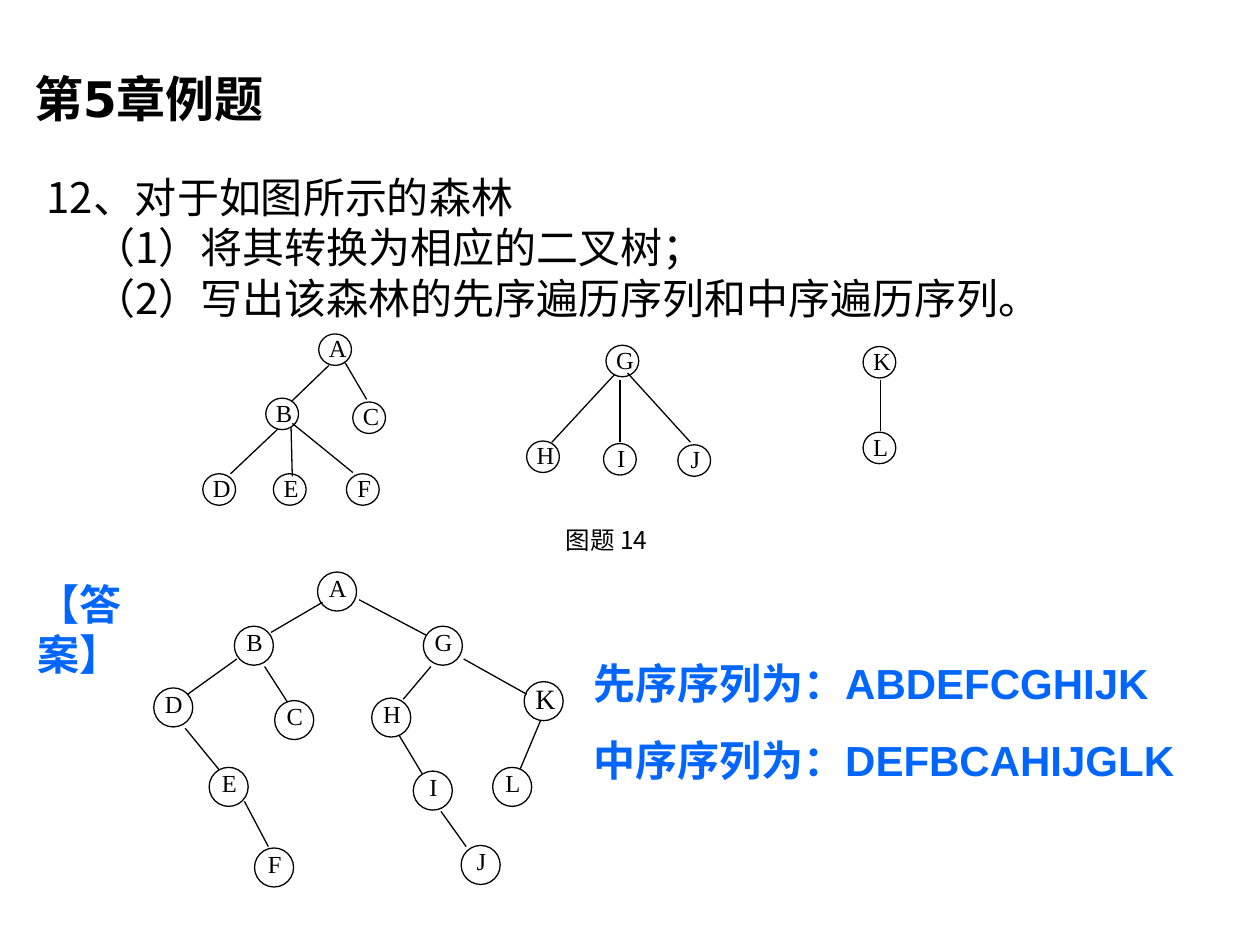
from dataclasses import dataclass
from typing import Any

from lxml import etree
from pptx import Presentation
from pptx.dml.color import RGBColor
from pptx.enum.shapes import MSO_CONNECTOR, MSO_SHAPE
from pptx.enum.text import MSO_ANCHOR, MSO_AUTO_SIZE, PP_ALIGN
from pptx.oxml.ns import qn
from pptx.util import Inches, Pt

OVAL, RECT = MSO_SHAPE.OVAL, MSO_SHAPE.RECTANGLE
STRAIGHT = MSO_CONNECTOR.STRAIGHT
LEFT, CENTER, JUSTIFY = PP_ALIGN.LEFT, PP_ALIGN.CENTER, PP_ALIGN.JUSTIFY
TOP, MIDDLE = MSO_ANCHOR.TOP, MSO_ANCHOR.MIDDLE
FIT, FIXED = MSO_AUTO_SIZE.SHAPE_TO_FIT_TEXT, MSO_AUTO_SIZE.NONE
WIDTH, HEIGHT, COLS, ROWS = 10, 7.5, 100, 75
COLORS = {"ink": "000000", "paper": "FFFFFF", "answer": "0066FF"}
CJK, SERIF, SANS, HEAD = "Noto Sans CJK SC", "Times New Roman", "Arial", "DejaVu Sans"

FOREST_NODES = [
    ("A", 25.3, 26.5), ("B", 21.1, 31.6), ("C", 28, 31.9), ("E", 21.7, 37.6),
    ("F", 27.5, 37.6), ("D", 16.1, 37.6), ("G", 48.1, 27.4), ("H", 41.8, 35),
    ("I", 47.9, 35.2), ("J", 53.8, 35.3), ("K", 68.5, 27.5), ("L", 68.5, 34.3),
]
FOREST_EDGES = [
    (26.1, 29, 23.2, 31.8), (27.4, 28.8, 29.1, 31.7), (22, 34.1, 18.3, 37.6),
    (23.1, 33.9, 23.2, 37.8), (23.2, 33.6, 28, 37.5), (48.8, 29.7, 43.8, 35.1),
    (49.2, 30.2, 49.2, 35.1), (49.8, 29.6, 54.8, 35.1), (69.9, 30.2, 69.9, 34.2),
]
BINARY_NODES = [
    ("A", 25.2, 45.4), ("B", 18.6, 49.7), ("C", 21.8, 55.6), ("E", 16.6, 60.9),
    ("F", 20.2, 67.3), ("D", 12.2, 54.6), ("G", 33.6, 49.7), ("H", 29.5, 55.4),
    ("I", 32.8, 61.2), ("J", 36.6, 67.1), ("K", 41.6, 54.1), ("L", 39.1, 60.9),
]
BINARY_EDGES = [
    (25.6, 47.8, 21.5, 50.2), (18.8, 52.3, 14.9, 55.1), (21, 52.9, 22.8, 55.7),
    (14.7, 57.8, 17.4, 61.1), (19.4, 63.6, 21.3, 67.2), (28.5, 47.6, 33.8, 50.4),
    (36.8, 52.3, 41.8, 55.1), (34.2, 52.9, 32, 55.5), (31.7, 58.4, 33.5, 61.4),
    (42.9, 57.2, 41.3, 61), (35, 64.4, 37, 67.2),
]


@dataclass
class Deck:
    """Holds the current slide and draws its elements on a 100 by 75 grid."""

    s: Any

    def grid(self, x, y, w, h):
        dx, dy = WIDTH / COLS, HEIGHT / ROWS
        return Inches(x * dx), Inches(y * dy), Inches(w * dx), Inches(h * dy)

    def fill_text(self, tf, lines, size, font, color="ink", bold=False,
                  align=LEFT, gap=0, indent=0, spacing=None):
        tf.word_wrap = True
        tf.text = "\n".join(lines)
        for i, p in enumerate(tf.paragraphs):
            p.alignment = align
            p.line_spacing = spacing
            p.space_before = Pt(gap if i else 0)
            if i and indent:
                p._p.get_or_add_pPr().set("marL", str(Inches(indent)))
            for r in p.runs:
                r.font.size, r.font.bold, r.font.name = Pt(size), bold, font
                r.font.color.rgb = RGBColor.from_string(COLORS[color])
                ea = etree.SubElement(r._r.get_or_add_rPr(), qn("a:ea"))
                ea.set("typeface", CJK)

    def title(self, box, text):
        sp = self.s.shapes.title
        sp.left, sp.top, sp.width, sp.height = self.grid(*box)
        self.fill_text(sp.text_frame, [text], 28, HEAD, bold=True)
        sp.text_frame.vertical_anchor = MIDDLE
        sp.text_frame.auto_size = FIXED

    def text(self, box, lines, font, **style):
        sp = self.s.shapes.add_textbox(*self.grid(*box))
        self.fill_text(sp.text_frame, lines, 24, font, **style)
        sp.text_frame.auto_size = FIT

    def shape(self, group, kind, box, outlined=False):
        sp = group.shapes.add_shape(kind, *self.grid(*box))
        sp.shadow.inherit = False
        sp.fill.solid()
        sp.fill.fore_color.rgb = RGBColor.from_string(COLORS["paper"])
        if outlined:
            sp.line.color.rgb = RGBColor.from_string(COLORS["ink"])
            sp.line.width = Pt(0.75)
        else:
            sp.line.fill.background()
        return sp

    def label(self, group, box, text, size, font, spacing):
        tf = self.shape(group, RECT, box).text_frame
        tf.margin_left = tf.margin_right = tf.margin_top = tf.margin_bottom = 0
        tf.vertical_anchor = TOP
        self.fill_text(tf, [text], size, font, align=CENTER, spacing=spacing)

    def edge(self, group, x1, y1, x2, y2):
        line = group.shapes.add_connector(STRAIGHT, *self.grid(x1, y1, x2, y2))
        line.line.color.rgb = RGBColor.from_string(COLORS["ink"])
        line.line.width = Pt(0.75)
        etree.SubElement(line._element.spPr, qn("a:effectLst"))

    def tree(self, nodes, edges, node_size, inset, label_size, big=""):
        group = self.s.shapes.add_group_shape()
        for name, x, y in nodes:
            self.shape(group, OVAL, (x, y, *node_size), outlined=True)
            box = (x + inset[0], y + inset[1], *label_size)
            self.label(group, box, name, 16 if name in big else 14, SERIF, 0.8)
        for ends in edges:
            self.edge(group, *ends)
        return group


def main():
    prs = Presentation()
    prs.slide_width, prs.slide_height = Inches(WIDTH), Inches(HEIGHT)
    deck = Deck(prs.slides.add_slide(prs.slide_layouts[5]))
    deck.title((1.7, 4.7, 22.3, 6.2), "第5章例题")
    deck.text((2.7, 13.1, 93.3, 13),
              ["12、对于如图所示的森林", "（1）将其转换为相应的二叉树；",
               "（2）写出该森林的先序遍历序列和中序遍历序列。"],
              CJK, align=JUSTIFY, indent=0.37)
    deck.text((2, 45.4, 14.2, 9), ["【答案】"], SANS, color="answer", bold=True)
    forest = deck.tree(FOREST_NODES, FOREST_EDGES, (2.6, 2.5), (0.8, 0.4), (1.2, 1.6))
    deck.label(forest, (41.5, 41.8, 13.3, 2.2), "图题 14", 14, CJK, 0.96)
    deck.tree(BINARY_NODES, BINARY_EDGES, (3.1, 3.1), (0.9, 0.5), (1.4, 2), big="K")
    deck.text((46.1, 51.7, 51.7, 11.1),
              ["先序序列为：ABDEFCGHIJK", "中序序列为：DEFBCAHIJGLK"],
              SANS, color="answer", bold=True, align=JUSTIFY, gap=15)
    prs.save("out.pptx")


if __name__ == "__main__":
    main()
